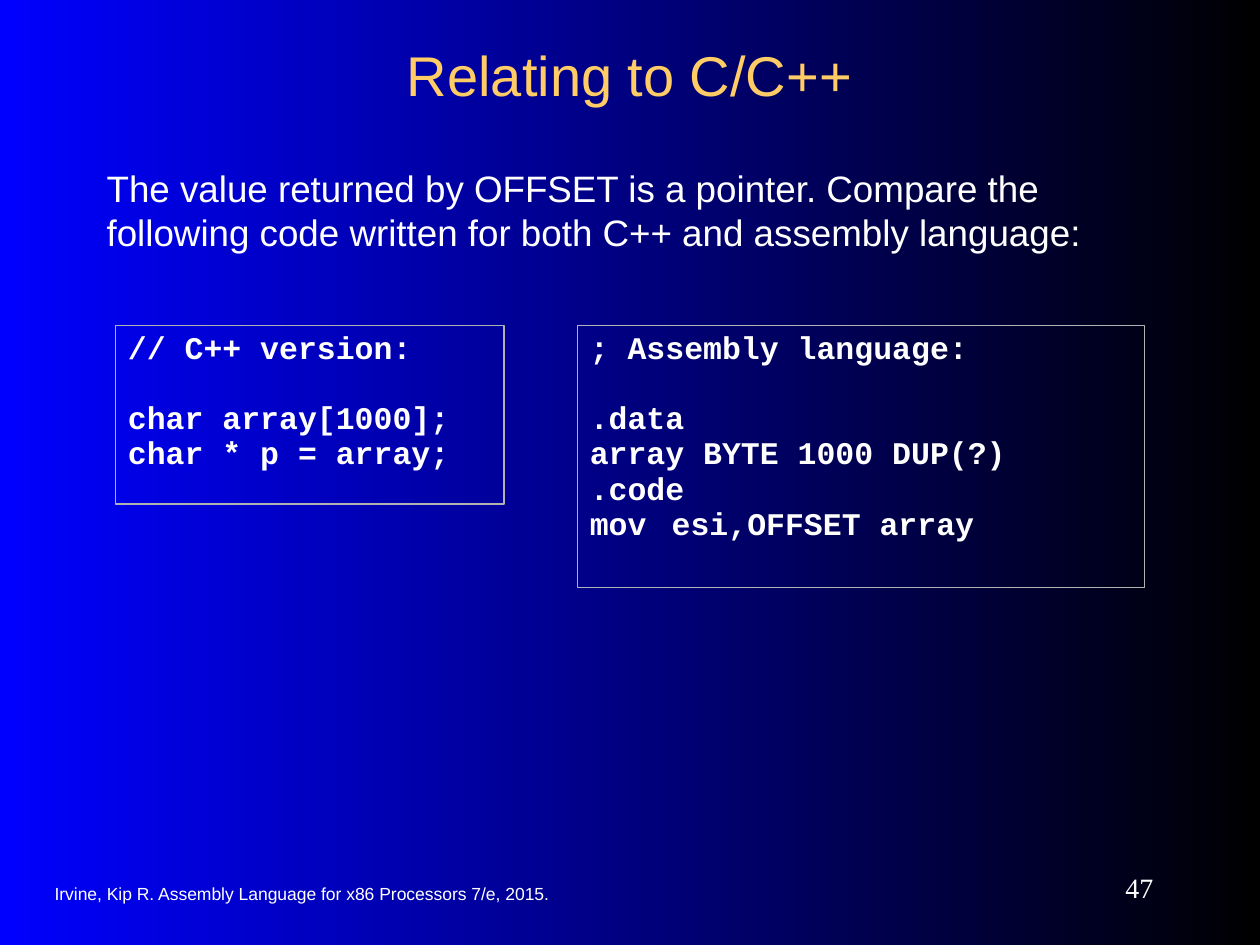
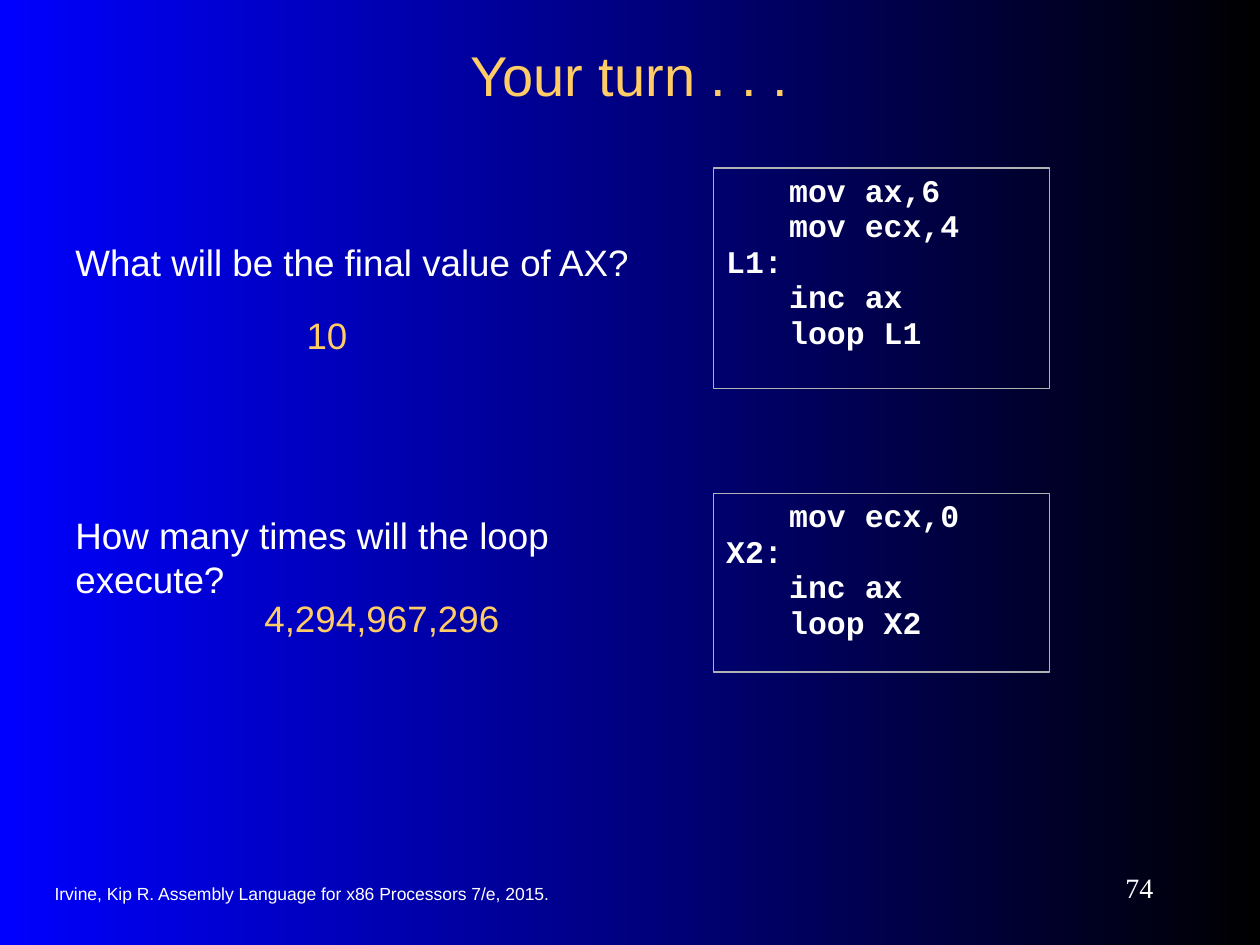
from pptx import Presentation
from pptx.dml.color import RGBColor
from pptx.enum import shapes, text
from pptx.util import Cm, Pt

# Shared style
WHITE, GOLD, GREY = "FFFFFF", "FFCC66", "B2B2B2"
BACKDROP = ("0000FF", "000000")
BODY_FONT, CODE_FONT, NUMBER_FONT = "Arial", "Courier New", "Times New Roman"
FOOTER = "Irvine, Kip R. Assembly Language for x86 Processors 7/e, 2015."
TITLE_BOX = (1.9, 0.64, 21.59, 1.7)
FOOTER_BOX = (0.85, 17.6, 13.34, 0.84)
NUMBER_BOX = (20.75, 17.36, 2.75, 1.06)
CODE_GAP, CODE_LINE = 9.5, 19.7  # points between lines, points per line


def color(hex_code):
    return RGBColor.from_string(hex_code)


def set_frame(sp, pad, anchor):
    tf = sp.text_frame
    tf.word_wrap = True
    tf.auto_size = text.MSO_AUTO_SIZE.NONE
    tf.vertical_anchor = anchor
    tf.margin_left = tf.margin_right = Cm(0.25)
    tf.margin_top = tf.margin_bottom = Cm(pad)
    return tf


def style(p, size, hex_code, font=BODY_FONT, bold=False, align=text.PP_ALIGN.LEFT):
    p.alignment = align
    for r in p.runs:
        r.font.size, r.font.name, r.font.bold = Pt(size), font, bold
        r.font.color.rgb = color(hex_code)


def add_text(s, box, words, size=21, hex_code=WHITE, pad=0.38,
             anchor=text.MSO_ANCHOR.TOP, **look):
    sp = s.shapes.add_textbox(*map(Cm, box))
    tf = set_frame(sp, pad, anchor)
    tf.text = words
    style(tf.paragraphs[0], size, hex_code, **look)


def add_code(s, box, code):
    """Outlined listing; an empty line becomes extra space before the next."""
    sp = s.shapes.add_shape(shapes.MSO_SHAPE.RECTANGLE, *map(Cm, box))
    sp.shadow.inherit = False
    sp.fill.background()
    sp.line.color.rgb = color(GREY)
    sp.line.width = Pt(0.75)
    tf = set_frame(sp, 0.38, text.MSO_ANCHOR.TOP)
    p, gap = tf.paragraphs[0], 0
    for line in code.split("\n"):
        if not line:
            gap += CODE_LINE
            continue
        if p.text:
            p = tf.add_paragraph()
        p.text = line
        p.line_spacing = 0.5
        p.space_before = Pt(gap)
        style(p, 18, WHITE, CODE_FONT, bold=True)
        gap = CODE_GAP


def set_background(prs):
    fill = prs.slide_master.background.fill
    fill.gradient()
    fill.gradient_angle = 0
    for stop, hex_code in zip(fill.gradient_stops, BACKDROP):
        stop.color.rgb = color(hex_code)


def new_slide(prs, title, number):
    s = prs.slides.add_slide(prs.slide_layouts.get_by_name("Title Only"))
    sp = s.shapes.title
    sp.left, sp.top, sp.width, sp.height = map(Cm, TITLE_BOX)
    middle = text.MSO_ANCHOR.MIDDLE
    tf = set_frame(sp, 0.13, middle)
    tf.text = title
    style(tf.paragraphs[0], 32, GOLD, align=text.PP_ALIGN.CENTER)
    # Footer
    add_text(s, FOOTER_BOX, FOOTER, 10, pad=0.13, anchor=middle)
    add_text(s, NUMBER_BOX, str(number), 16, pad=0.13, anchor=middle,
             font=NUMBER_FONT, align=text.PP_ALIGN.RIGHT)
    return s


def add_comparison(s, box, intro, cpp, assembly):
    """Intro across the box, two listings side by side below it."""
    x, y, w, h = box
    add_text(s, (x, y, w, 2.54), intro)
    code_y = y + 3.6
    add_code(s, (x + 0.43, code_y, 7.83, 3.6), cpp)
    add_code(s, (x + 9.74, code_y, 11.43, h - 3.6), assembly)


def add_exercise(s, box, question, question_box, answer, answer_box, code):
    """Question and answer on the left of the box, listing on the right."""
    x, y, w, h = box
    for words, (dx, dy, tw, th), hex_code in (
            (question, question_box, WHITE), (answer, answer_box, GOLD)):
        add_text(s, (x + dx, y + dy, tw, th), words, hex_code=hex_code)
    code_w = 6.77
    add_code(s, (x + w - code_w, y, code_w, h), code)


def main():
    prs = Presentation()
    prs.slide_width, prs.slide_height = Cm(25.4), Cm(19.05)
    set_background(prs)

    # Pointer comparison
    s = new_slide(prs, "Relating to C/C++", 47)
    add_comparison(
        s, (1.9, 2.96, 21.38, 8.89),
        "The value returned by OFFSET is a pointer. Compare the following "
        "code written for both C++ and assembly language:",
        "// C++ version:\n\nchar array[1000];\nchar * p = array;",
        "; Assembly language:\n\n.data\narray BYTE 1000 DUP(?)\n"
        ".code\nmov\t esi,OFFSET array")

    # Loop exercises
    s = new_slide(prs, "Your turn . . .", 74)
    add_exercise(
        s, (1.27, 3.39, 19.89, 4.45),
        "What will be the final value of AX?", (0, 1.06, 13.97, 1.65),
        "10", (4.66, 2.54, 1.69, 1.65),
        "\tmov ax,6\n\tmov ecx,4\nL1:\n\tinc ax\n\tloop L1")
    add_exercise(
        s, (1.27, 9.95, 19.89, 3.6),
        "How many times will the loop execute?", (0, 0, 11.85, 2.54),
        "4,294,967,296", (3.81, 1.69, 5.93, 1.65),
        "\tmov ecx,0\nX2:\n\tinc ax\n\tloop X2")

    prs.save("out.pptx")


if __name__ == "__main__":
    main()
